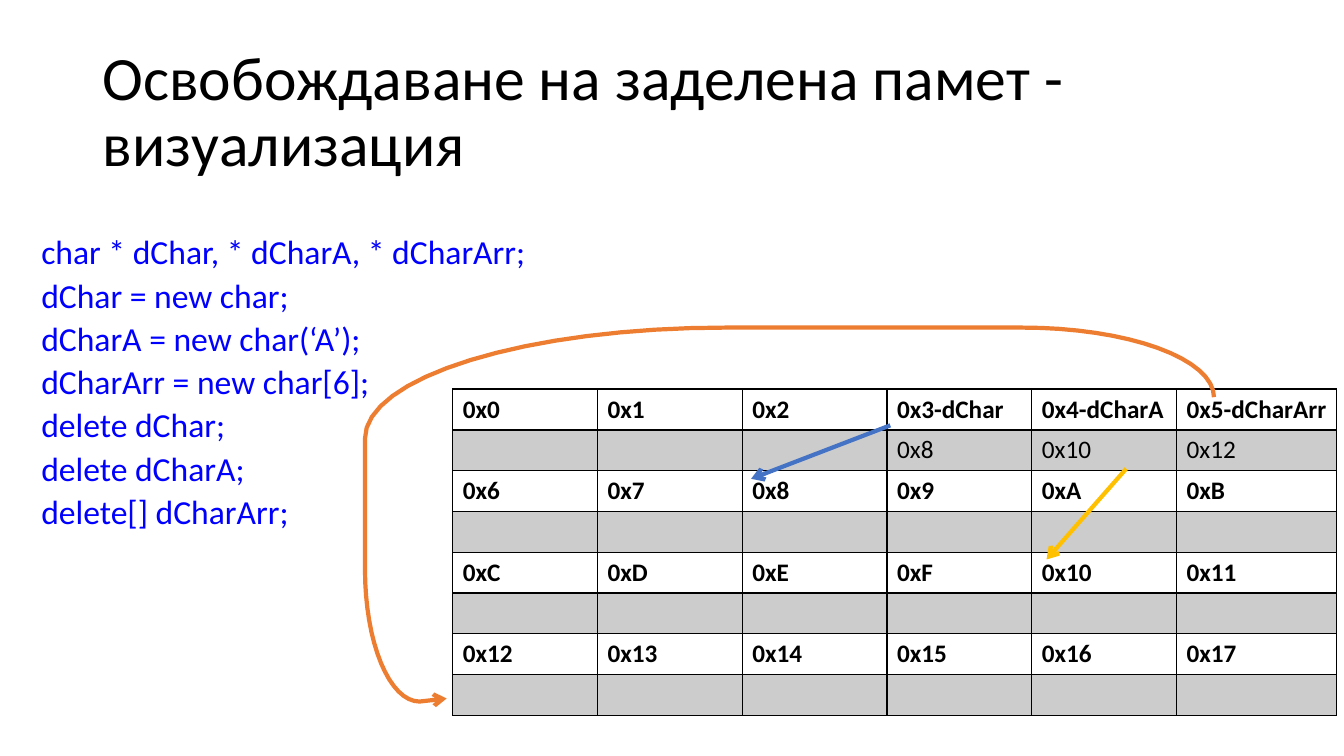
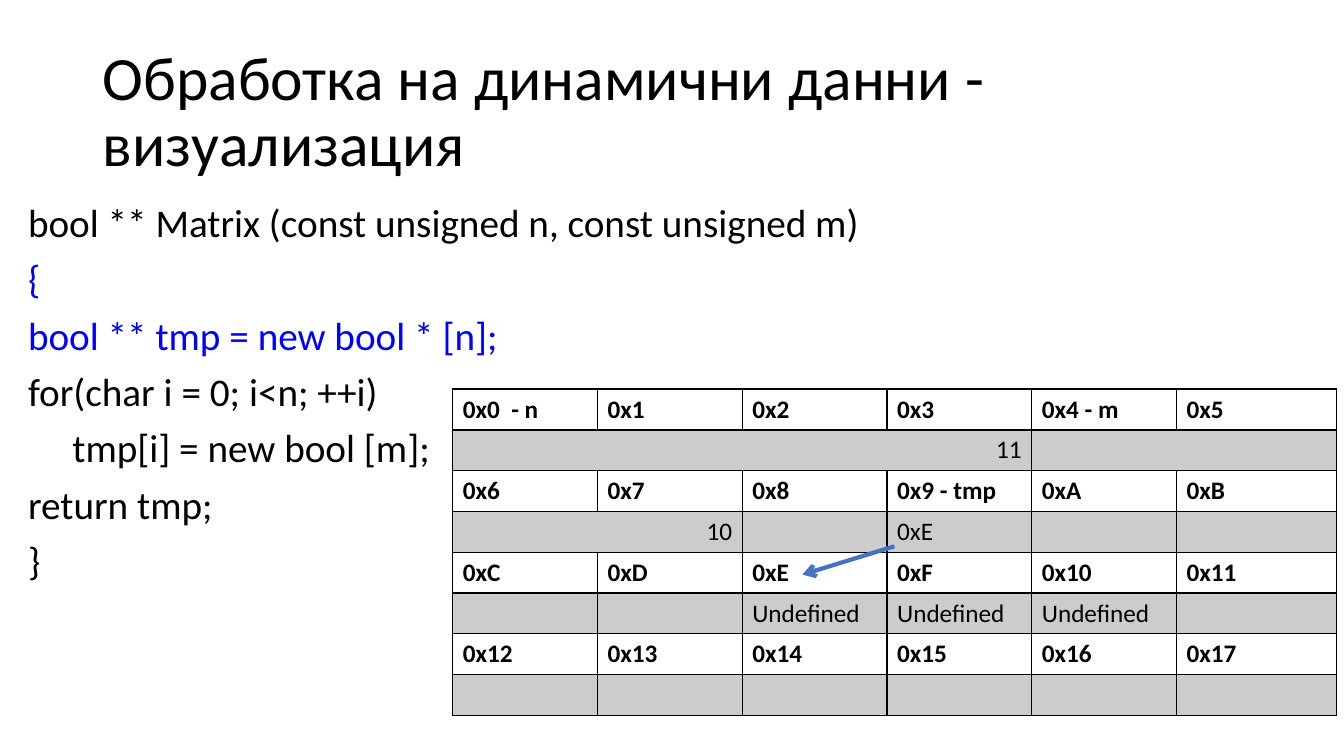
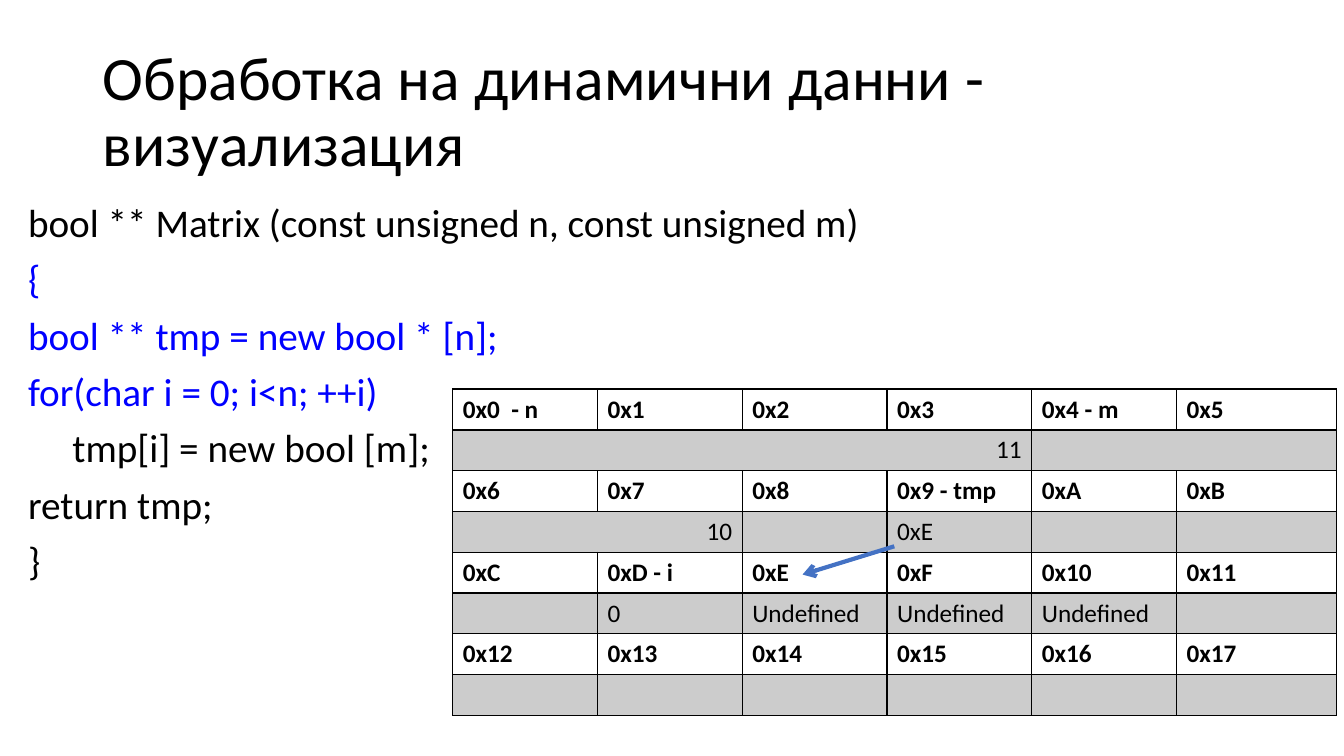
from math import cos, pi, sin

from lxml.etree import SubElement
from pptx import Presentation
from pptx.dml.color import RGBColor
from pptx.enum.shapes import MSO_CONNECTOR
from pptx.enum.text import MSO_ANCHOR, PP_ALIGN
from pptx.oxml.ns import qn
from pptx.util import Inches, Pt

FONT = "Calibri"
BLACK, CODE_BLUE = "000000", "0000FF"
BLUE, GOLD, ORANGE = "4472C4", "FFC000", "ED7D31"

MEMORY_SIZE = 24
COLUMNS = 6
ROWS = 2 * MEMORY_SIZE // COLUMNS
MEMORY_LEFT, MEMORY_TOP = 4.49, 3.86
MEMORY_WIDTH, MEMORY_HEIGHT = 8.77, 3.24
LAST_COLUMN_WIDTH = 1.59
COLUMN_WIDTH = (MEMORY_WIDTH - LAST_COLUMN_WIDTH) / (COLUMNS - 1)

MATRIX_TITLE = "Обработка на динамични данни - визуализация"
MATRIX_CODE = [
    "bool ** Matrix (const unsigned n, const unsigned m)",
    "{",
    "bool ** tmp = new bool * [n];",
    "for(char i = 0; i<n; ++i)",
    "tmp[i] = new bool [m];",
    "return tmp;",
    "}",
]
LOOP_BODY = 4
MATRIX_NAMES = {0: "  - n", 4: " - m", 9: " - tmp"}
MATRIX_VALUES = {0: "11", 6: "10", 9: "0xЕ"} | dict.fromkeys(range(14, 17), "Undefined")
MATRIX_SPANS = {0: 4, 4: 2, 6: 2}


def rgb(color):
    return RGBColor.from_string(color)


def style_runs(paragraph, size, color=BLACK, bold=False):
    for run in paragraph.runs:
        run.font.name = FONT
        run.font.size = Pt(size)
        run.font.bold = bold
        run.font.color.rgb = rgb(color)


def add_text(slide, left, top, width, height, lines, size, space_before=0):
    box = slide.shapes.add_textbox(Inches(left), Inches(top), Inches(width), Inches(height))
    frame = box.text_frame
    frame.word_wrap = True
    frame.text = "\n".join(lines)
    for paragraph in frame.paragraphs:
        paragraph.line_spacing = 0.9
        paragraph.space_before = Pt(space_before)
        style_runs(paragraph, size)
    return frame


def add_title_slide(deck, title):
    slide = deck.slides.add_slide(deck.slide_layouts[6])
    frame = add_text(slide, 0.92, 0.4, 11.5, 1.45, [title], 44)
    frame.vertical_anchor = MSO_ANCHOR.MIDDLE
    return slide


def set_border(cell, side, width):
    border = SubElement(cell._tc.get_or_add_tcPr(), qn(f"a:ln{side}"), w=str(Pt(width)))
    fill = SubElement(border, qn("a:solidFill"))
    SubElement(fill, qn("a:srgbClr"), val=BLACK)


def style_cell(cell, row):
    for side in "LRTB":
        under_header = (row, side) in [(0, "B"), (1, "T")]
        set_border(cell, side, 2 if under_header else 1)
    if row % 2 == 0:
        cell.fill.background()
        return
    cell.fill.solid()
    cell.fill.fore_color.rgb = rgb(BLACK)
    shade = cell._tc.tcPr.find(qn("a:solidFill"))[0]
    SubElement(shade, qn("a:alpha"), val="20000")


def write_cell(cell, text, bold=False, align=PP_ALIGN.LEFT):
    paragraph = cell.text_frame.paragraphs[0]
    paragraph.text = text
    paragraph.alignment = align
    style_runs(paragraph, 18, bold=bold)


def add_memory(slide, names, values, spans):
    memory = slide.shapes.add_table(
        ROWS, COLUMNS, Inches(MEMORY_LEFT), Inches(MEMORY_TOP),
        Inches(MEMORY_WIDTH), Inches(MEMORY_HEIGHT)).table
    memory.first_row = memory.horz_banding = False
    for column in memory.columns:
        column.width = Inches(COLUMN_WIDTH)
    memory.columns[COLUMNS - 1].width = Inches(LAST_COLUMN_WIDTH)
    for address in range(MEMORY_SIZE):
        band, column = divmod(address, COLUMNS)
        label_row, value_row = 2 * band, 2 * band + 1
        label_cell = memory.cell(label_row, column)
        value_cell = memory.cell(value_row, column)
        style_cell(label_cell, label_row)
        style_cell(value_cell, value_row)
        write_cell(label_cell, f"0x{address:X}{names.get(address, '')}", bold=True)
        if address in spans:
            value_cell.merge(memory.cell(value_row, column + spans[address] - 1))
        if address in values:
            align = PP_ALIGN.RIGHT if address in spans else PP_ALIGN.LEFT
            write_cell(value_cell, values[address], align=align)


def style_arrow(arrow, color):
    arrow.line.color.rgb = rgb(color)
    arrow.line.width = Pt(3)
    properties = arrow._element.spPr
    SubElement(properties.find(qn("a:ln")), qn("a:tailEnd"), type="arrow")
    SubElement(properties, qn("a:effectLst"))


def add_pointer(slide, start, end, color):
    ends = [Inches(value) for value in start + end]
    style_arrow(slide.shapes.add_connector(MSO_CONNECTOR.STRAIGHT, *ends), color)


def quarter_turn(start, end, leaves_upright, steps=16):
    (start_x, start_y), (end_x, end_y) = start, end
    points = []
    for step in range(steps + 1):
        angle = step / steps * pi / 2
        early, late = sin(angle), 1 - cos(angle)
        across, down = (late, early) if leaves_upright else (early, late)
        points.append((start_x + (end_x - start_x) * across,
                       start_y + (end_y - start_y) * down))
    return points


def add_pointer_around_memory(slide, color):
    pointer_cell = (12.04, 3.94)
    top_right, top_left = (10.14, 3.25), (7.19, 3.25)
    left_upper, left_lower = (3.62, 4.35), (3.62, 5.65)
    bottom = (4.16, 6.96)
    target_cell = (4.43, 6.93)
    route = [
        *quarter_turn(pointer_cell, top_right, leaves_upright=True),
        *quarter_turn(top_left, left_upper, leaves_upright=False),
        *quarter_turn(left_lower, bottom, leaves_upright=True),
        target_cell,
    ]
    points = [(Inches(x), Inches(y)) for x, y in route]
    builder = slide.shapes.build_freeform(*points[0])
    builder.add_line_segments(points[1:], close=False)
    pointer = builder.convert_to_shape()
    pointer.fill.background()
    style_arrow(pointer, color)


def add_release_slide(deck):
    slide = add_title_slide(deck, "Освобождаване на заделена памет - визуализация")
    code = add_text(slide, -0.19, 2.29, 12.93, 5.82, [
        "char * dChar, * dCharA, * dCharArr;",
        "dChar = new char;",
        "dCharA = new char(‘A’);",
        "dCharArr = new char[6];",
        "delete dChar;",
        "delete dCharA;",
        "delete[] dCharArr;",
    ], 24, space_before=5)
    code.margin_left = Inches(0.6)
    for paragraph in code.paragraphs:
        style_runs(paragraph, 24, CODE_BLUE)
    add_memory(slide,
               names={3: "-dChar", 4: "-dCharA", 5: "-dCharArr"},
               values={3: "0x8", 4: "0x10", 5: "0x12"},
               spans={})
    add_pointer(slide, (8.83, 4.22), (7.45, 4.75), BLUE)
    add_pointer(slide, (11.17, 4.65), (10.38, 5.55), GOLD)
    add_pointer_around_memory(slide, ORANGE)


def add_matrix_slide(deck, executed_lines, new_names, new_values):
    slide = add_title_slide(deck, MATRIX_TITLE)
    code = add_text(slide, 0.18, 1.97, 11.5, 4.76, MATRIX_CODE, 28, space_before=10)
    for paragraph in code.paragraphs[1:executed_lines + 1]:
        style_runs(paragraph, 28, CODE_BLUE)
    loop_body = code.paragraphs[LOOP_BODY]
    loop_body._p.get_or_add_pPr().set("marL", str(Inches(0.44)))
    add_memory(slide, MATRIX_NAMES | new_names, MATRIX_VALUES | new_values, MATRIX_SPANS)
    add_pointer(slide, (8.87, 5.42), (7.96, 5.7), BLUE)


def main():
    deck = Presentation()
    deck.slide_width, deck.slide_height = Inches(13.33), Inches(7.5)
    add_release_slide(deck)
    add_matrix_slide(deck, executed_lines=2, new_names={}, new_values={})
    add_matrix_slide(deck, executed_lines=3, new_names={13: " - i"}, new_values={13: "0"})
    deck.save("out.pptx")


main()
